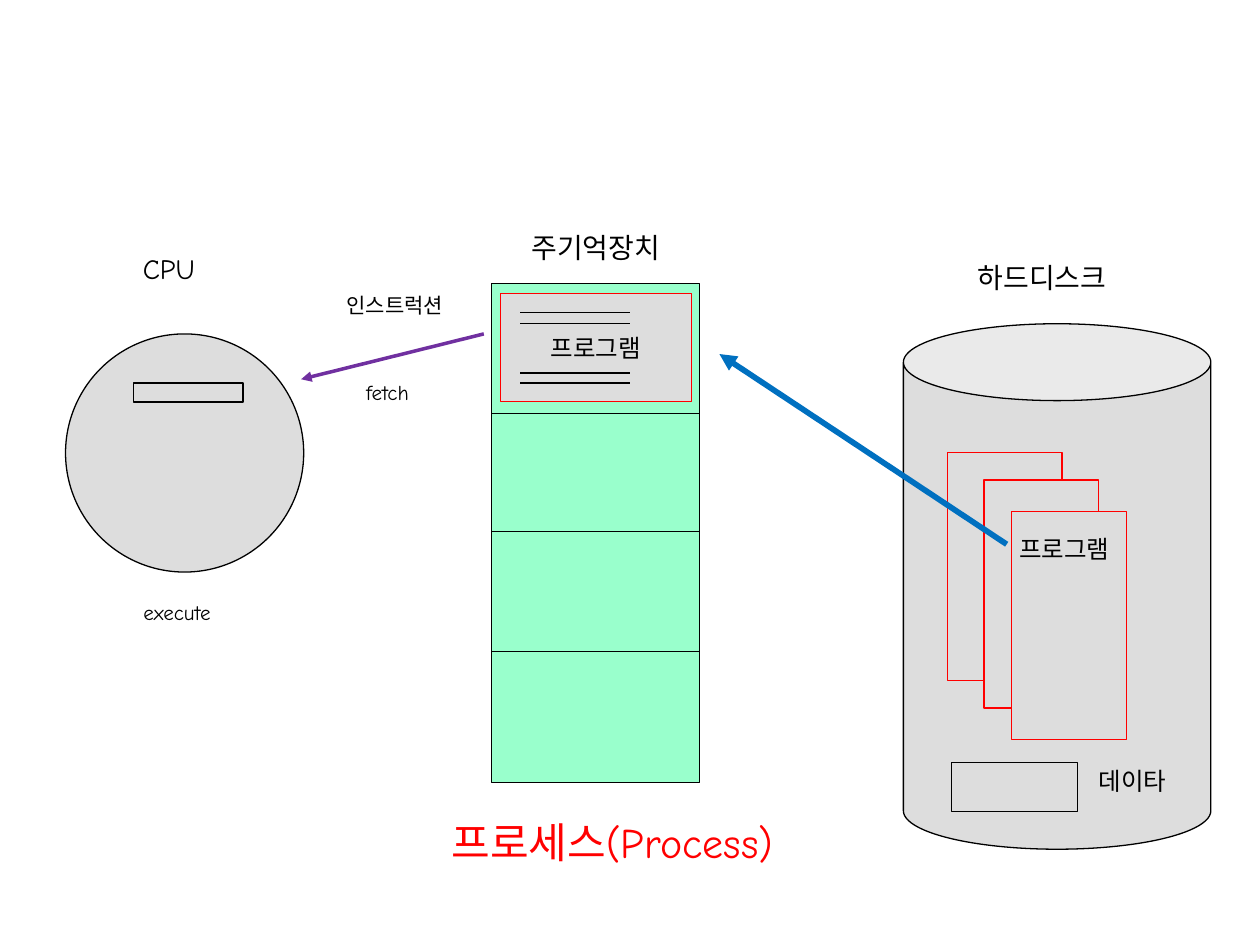
"""Build a slide showing how a program moves from hard disk to memory to CPU."""
from lxml.etree import SubElement
from pptx import Presentation
from pptx.dml.color import RGBColor
from pptx.enum.shapes import MSO_CONNECTOR, MSO_SHAPE as Shape
from pptx.enum.text import MSO_ANCHOR, MSO_AUTO_SIZE, PP_ALIGN as Align
from pptx.oxml.ns import qn
from pptx.util import Pt

PX = 9144
COLORS = {
    "black": "000000",
    "red": "FF0000",
    "gray": "DDDDDD",
    "mint": "99FFCC",
    "blue": "0070C0",
    "purple": "7030A0",
}

deck = Presentation()
deck.slide_width, deck.slide_height = 1000 * PX, 750 * PX
page = deck.slides.add_slide(deck.slide_layouts[6])


def add_box(kind, left, top, width, height, fill="gray", line="black"):
    box = page.shapes.add_shape(kind, left * PX, top * PX, width * PX, height * PX)
    box.shadow.inherit = False
    box.fill.solid()
    box.fill.fore_color.rgb = RGBColor.from_string(COLORS[fill])
    box.line.color.rgb = RGBColor.from_string(COLORS[line])
    box.line.width = Pt(0.75)
    return box


def add_line(x1, y1, x2, y2, color="black", weight=0.75, arrow=False):
    line = page.shapes.add_connector(
        MSO_CONNECTOR.STRAIGHT, x1 * PX, y1 * PX, x2 * PX, y2 * PX
    )
    line.line.color.rgb = RGBColor.from_string(COLORS[color])
    line.line.width = Pt(weight)
    if arrow:
        SubElement(line.line._get_or_add_ln(), qn("a:tailEnd"), type="triangle")
    SubElement(line._element.spPr, qn("a:effectLst"))


add_box(Shape.CAN, 717, 257, 244, 417)
for left, top in [(752, 359), (781, 381), (803, 406)]:
    add_box(Shape.RECTANGLE, left, top, 91, 181, line="red")
add_box(Shape.RECTANGLE, 755, 605, 100, 39)

add_box(Shape.RECTANGLE, 390, 225, 165, 396, fill="mint")
for y in (328, 422, 517):
    add_line(390, y, 555, y)

program = add_box(Shape.RECTANGLE, 397, 233, 152, 86, line="red")
program.text_frame.text = "프로그램"
program.text_frame.vertical_anchor = MSO_ANCHOR.MIDDLE
para = program.text_frame.paragraphs[0]
para.alignment = Align.CENTER
span = para.runs[0]
span.font.name, span.font.size = "Arial", Pt(14)
span.font.color.rgb = RGBColor.from_string(COLORS["black"])
for y in (248, 257, 296, 304):
    add_line(413, y, 500, y)

add_box(Shape.OVAL, 52, 265, 189, 189)
add_box(Shape.RECTANGLE, 106, 304, 87, 15)

add_line(799, 432, 571, 281, "blue", 3.25, arrow=True)
add_line(384, 265, 239, 301, "purple", 2, arrow=True)

labels = [
    ("하드디스크", 752, 202, 150, 37, 16, Align.CENTER, "black"),
    ("주기억장치", 398, 178, 150, 37, 16, Align.CENTER, "black"),
    ("CPU", 59, 195, 150, 37, 16, Align.CENTER, "black"),
    ("프로그램", 799, 419, 104, 34, 14, Align.LEFT, "black"),
    ("데이타", 862, 603, 94, 34, 14, Align.LEFT, "black"),
    ("인스트럭션", 246, 227, 135, 30, 12, Align.CENTER, "black"),
    ("fetch", 240, 296, 135, 30, 12, Align.CENTER, "black"),
    ("execute", 73, 471, 135, 30, 12, Align.CENTER, "black"),
    ("프로세스(Process)", 305, 643, 362, 40, 24, Align.CENTER, "red"),
]
for text, left, top, width, height, size, align, color in labels:
    label = page.shapes.add_textbox(left * PX, top * PX, width * PX, height * PX)
    label.text_frame.text = text
    label.text_frame.word_wrap = True
    label.text_frame.auto_size = MSO_AUTO_SIZE.SHAPE_TO_FIT_TEXT
    para = label.text_frame.paragraphs[0]
    para.alignment = align
    span = para.runs[0]
    span.font.name, span.font.size = "Comic Neue", Pt(size)
    span.font.color.rgb = RGBColor.from_string(COLORS[color])

deck.save("out.pptx")
